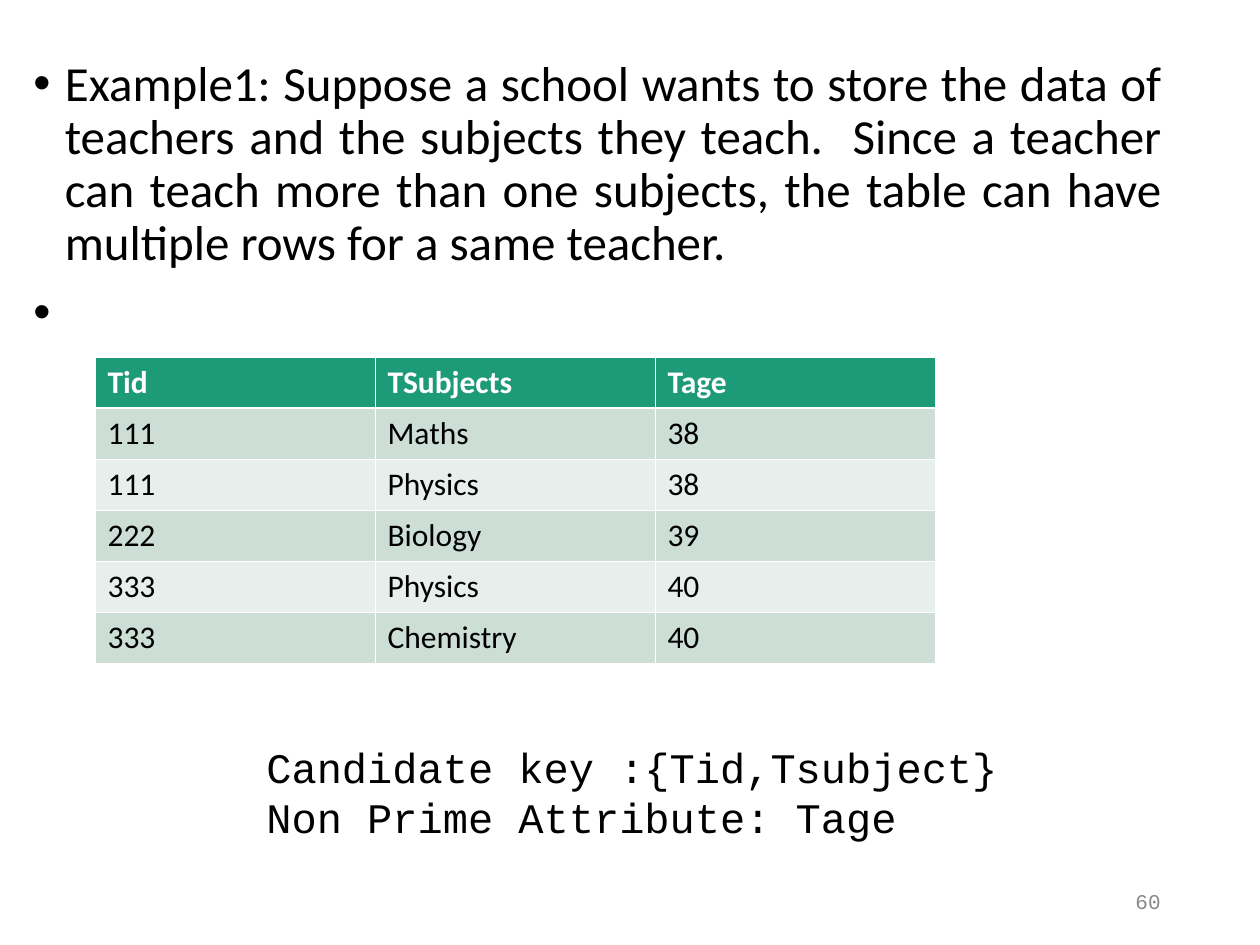
from lxml import etree
from pptx import Presentation
from pptx.dml.color import RGBColor
from pptx.enum.text import MSO_ANCHOR, PP_ALIGN
from pptx.oxml.ns import qn
from pptx.util import Emu, Pt

PX = 914400 // 126
LEFT, RIGHT, JUSTIFY = PP_ALIGN.LEFT, PP_ALIGN.RIGHT, PP_ALIGN.JUSTIFY
MIDDLE = MSO_ANCHOR.MIDDLE


def color(value):
    return RGBColor.from_string(value)


def write(tf, lines, size, font="Calibri", fill="000000", bold=False,
          align=LEFT, bullet=False):
    for i, line in enumerate(lines):
        p = tf.paragraphs[0] if i == 0 else tf.add_paragraph()
        p.alignment = align
        if bullet:
            p.line_spacing = 0.9
            if i:
                p.space_before = Pt(10)
            pPr = p._p.get_or_add_pPr()
            pPr.set("marL", "228600")
            pPr.set("indent", "-228600")
            etree.SubElement(pPr, qn("a:buFont"), typeface="Arial")
            etree.SubElement(pPr, qn("a:buChar"), char="•")
        r = p.add_run()
        r.text = line
        r.font.size = Pt(size)
        r.font.name = font
        r.font.bold = bold
        r.font.color.rgb = color(fill)


prs = Presentation()
prs.slide_width, prs.slide_height = Emu(1260 * PX), Emu(945 * PX)
s = prs.slides.add_slide(prs.slide_layouts[6])

# Example text
tf = s.shapes.add_textbox(21 * PX, 53 * PX, 1153 * PX, 799 * PX).text_frame
tf.word_wrap = True
example = (
    "Example1: Suppose a school wants to store the data of teachers and the "
    "subjects they teach.  Since a teacher can teach more than one subjects, "
    "the table can have multiple rows for a same teacher."
)
write(tf, [example, " "], 28, align=JUSTIFY, bullet=True)

# Slide number
tf = s.shapes.add_textbox(890 * PX, 876 * PX, 283 * PX, 50 * PX).text_frame
tf.word_wrap = True
tf.vertical_anchor = MIDDLE
write(tf, ["60"], 12, font="Courier New", fill="898989", align=RIGHT)

# Teachers table
teachers = [
    ("Tid", "TSubjects", "Tage"),
    ("111", "Maths", "38"),
    ("111", "Physics", "38"),
    ("222", "Biology", "39"),
    ("333", "Physics", "40"),
    ("333", "Chemistry", "40"),
]
table = s.shapes.add_table(len(teachers), 3, 95 * PX, 357 * PX,
                           840 * PX, 306 * PX).table
for col in table.columns:
    col.width = Emu(280 * PX)
for i, values in enumerate(teachers):
    table.rows[i].height = Emu(51 * PX)
    header = i == 0
    fill = "1D9A78" if header else ("E7EFEC", "CCDED6")[i % 2]
    for j, value in enumerate(values):
        cell = table.cell(i, j)
        write(cell.text_frame, [value], 18, bold=header,
              fill="FFFFFF" if header else "000000")
        # White borders, heavier under the header; they precede the fill
        tcPr = cell._tc.get_or_add_tcPr()
        for side in ("lnL", "lnR", "lnT", "lnB"):
            heavy = (side == "lnB" and i == 0) or (side == "lnT" and i == 1)
            ln = etree.SubElement(tcPr, qn("a:" + side),
                                  w=str(Pt(1.47 if heavy else 0.45)))
            solid = etree.SubElement(ln, qn("a:solidFill"))
            etree.SubElement(solid, qn("a:srgbClr"), val="FFFFFF")
        cell.fill.solid()
        cell.fill.fore_color.rgb = color(fill)

# Keys
tf = s.shapes.add_textbox(254 * PX, 735 * PX, 756 * PX, 113 * PX).text_frame
tf.word_wrap = False
write(tf, ["Candidate key :{Tid,Tsubject}", "Non Prime Attribute: Tage"], 24,
      font="Courier New")

prs.save("out.pptx")
